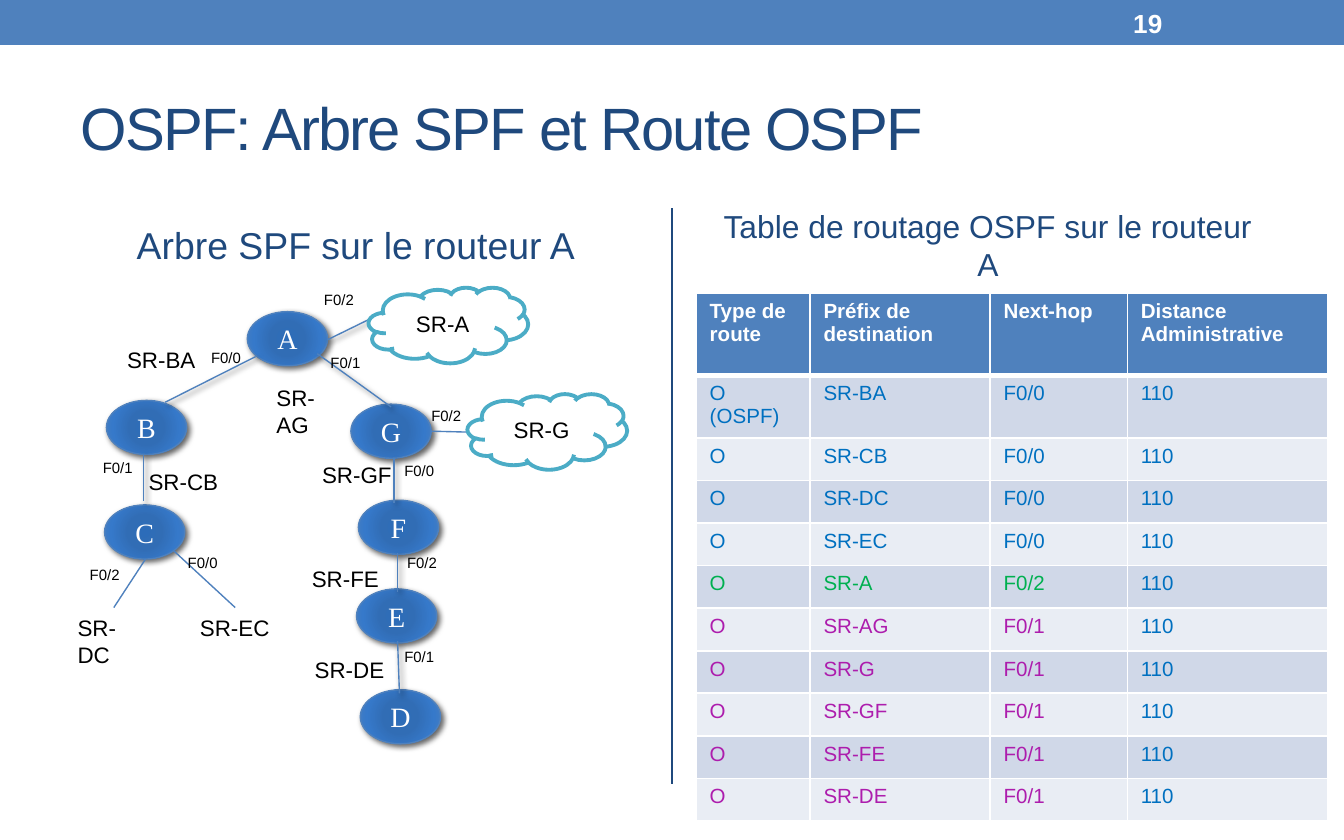
from lxml import etree
from pptx import Presentation
from pptx.dml.color import RGBColor
from pptx.enum.shapes import MSO_CONNECTOR, MSO_SHAPE
from pptx.enum.text import MSO_ANCHOR, MSO_AUTO_SIZE, PP_ALIGN
from pptx.oxml import parse_xml
from pptx.oxml.ns import qn
from pptx.util import Pt

STRAIGHT = MSO_CONNECTOR.STRAIGHT
RECTANGLE, OVAL, CLOUD = MSO_SHAPE.RECTANGLE, MSO_SHAPE.OVAL, MSO_SHAPE.CLOUD
LEFT, CENTER = PP_ALIGN.LEFT, PP_ALIGN.CENTER
TOP, MIDDLE = MSO_ANCHOR.TOP, MSO_ANCHOR.MIDDLE
GROW = MSO_AUTO_SIZE.SHAPE_TO_FIT_TEXT
NAMESPACE = 'xmlns:a="http://schemas.openxmlformats.org/drawingml/2006/main"'

COLORS = {
    "blue": "4F81BD", "navy": "1F497D", "teal": "4BACC6",
    "white": "FFFFFF", "black": "000000",
    "band_dark": "D0D8E8", "band_light": "E9EDF4",
    "text_blue": "0070C0", "text_green": "00B050", "text_purple": "AD1DAD",
}
ROUTER_GRADIENT = [(0, "2C6CB9"), (34, "316DB5"), (70, "3679CA"), (100, "4F81BD")]

ROUTERS = [
    ("A", 132.5, 167), ("C", 56, 270.5), ("B", 57, 214.5), ("G", 188, 216.5),
    ("F", 192, 268), ("E", 191, 315.5), ("D", 193, 369.5),
]
SHADOWED_LINKS = [
    (170, 189.5, 209.5, 218), (137, 191, 88.5, 215.5), (77, 243.5, 77, 268.5),
    (211, 245.5, 211, 269.5), (213, 296.5, 213, 317), (213, 343.5, 214, 371.5),
    (175.5, 182, 200, 170),
]
PLAIN_LINKS = [(78, 299.5, 61, 325.5), (231, 231, 250.5, 231.5), (93, 295, 126, 325.5)]
CLOUDS = [("SR-A", 197.5, 154), ("SR-G", 250.5, 211)]
INTERFACES = [
    ("F0/0", 106, 183.5), ("F0/1", 170, 186), ("F0/0", 209.5, 243.5),
    ("F0/2", 211, 293), ("F0/1", 209.5, 343.5), ("F0/1", 48, 242),
    ("F0/2", 166.5, 152), ("F0/2", 41, 299.5), ("F0/2", 224, 214.5),
    ("F0/0", 93.5, 293),
]
NETWORKS = [
    ("SR-DC", 34.5, 325.5), ("SR-AG", 141, 202.5), ("SR-FE", 160, 299),
    ("SR-GF", 165.5, 243.5), ("SR-DE", 161.5, 348), ("SR-CB", 72.5, 247.5),
    ("SR-BA", 61, 182), ("SR-EC", 100, 325.5),
]
HEADERS = ["Type de route", "Préfix de destination", "Next-hop", "Distance Administrative"]
ROUTES = [
    ("text_blue", "F0/0", ["SR-BA", "SR-CB", "SR-DC", "SR-EC"]),
    ("text_green", "F0/2", ["SR-A"]),
    ("text_purple", "F0/1", ["SR-AG", "SR-G", "SR-GF", "SR-FE", "SR-DE"]),
]
COLUMN_WIDTHS = [61, 96.5, 73.5, 107.5]


def rgb(name):
    """Return the named colour."""
    return RGBColor.from_string(COLORS[name])


def write(frame, text, size=12, color="black", font="Arial", bold=False,
          align=LEFT, anchor=TOP, wrap=True, spacing=None):
    """Put one formatted paragraph into a text frame."""
    frame.word_wrap = wrap
    frame.vertical_anchor = anchor
    para = frame.paragraphs[0]
    para.alignment = align
    span = para.add_run()
    span.text = text
    span.font.size = Pt(size)
    span.font.name = font
    span.font.bold = bold
    span.font.color.rgb = rgb(color)
    if spacing is not None:
        span.font._element.set("spc", str(spacing * 100))


def add_text(page, text, left, top, width, height, grow=False, **style):
    """Add a text box."""
    box = page.shapes.add_textbox(Pt(left), Pt(top), Pt(width), Pt(height))
    write(box.text_frame, text, **style)
    if grow:
        box.text_frame.auto_size = GROW


def add_shape(page, kind, left, top, width, height, fill, line=None, weight=0.75):
    """Add a filled preset shape without a shadow."""
    shape = page.shapes.add_shape(kind, Pt(left), Pt(top), Pt(width), Pt(height))
    shape.fill.solid()
    shape.fill.fore_color.rgb = rgb(fill)
    if line:
        shape.line.color.rgb = rgb(line)
        shape.line.width = Pt(weight)
    else:
        shape.line.fill.background()
    shape.shadow.inherit = False
    return shape


def add_shadow(effects):
    """Fill an effect list with a soft outer shadow."""
    effects.append(parse_xml(
        f'<a:outerShdw {NAMESPACE} blurRad="{Pt(3)}" dist="{Pt(2)}" dir="2700000" '
        f'algn="tl" rotWithShape="0"><a:srgbClr val="{COLORS["black"]}">'
        '<a:alpha val="60000"/></a:srgbClr></a:outerShdw>'))


def add_router(page, name, left, top):
    """Add a router as a shaded ellipse with its letter."""
    router = add_shape(page, OVAL, left, top, 43, 29, "blue", "blue")
    properties = router._element.spPr
    stops = "".join(f'<a:gs pos="{place * 1000}"><a:srgbClr val="{color}"/></a:gs>'
                    for place, color in ROUTER_GRADIENT)
    gradient = parse_xml(
        f'<a:gradFill {NAMESPACE} rotWithShape="1"><a:gsLst>{stops}</a:gsLst>'
        '<a:path path="circle"><a:fillToRect l="100000" t="100000" r="100000" '
        'b="100000"/></a:path></a:gradFill>')
    properties.replace(properties.find(qn("a:solidFill")), gradient)
    add_shadow(properties.find(qn("a:effectLst")))
    write(router.text_frame, name, size=15, color="white", font="Times New Roman",
          align=CENTER, anchor=MIDDLE, wrap=False)


def add_cloud(page, name, left, top):
    """Add a network cloud with its name."""
    cloud = add_shape(page, CLOUD, left, top, 85.5, 40.5, "white", "teal", 2.08)
    write(cloud.text_frame, name, align=CENTER, anchor=MIDDLE)


def add_line(page, ends, color="blue", weight=0.75, shadow=False):
    """Add a straight line between two points."""
    line = page.shapes.add_connector(STRAIGHT, *[Pt(value) for value in ends])
    line.line.color.rgb = rgb(color)
    line.line.width = Pt(weight)
    effects = etree.SubElement(line._element.spPr, qn("a:effectLst"))
    if shadow:
        add_shadow(effects)


def fill_cell(cell, text, fill, color, bold=False, top=1, bottom=1):
    """Set the borders, fill and text of a table cell."""
    properties = cell._tc.get_or_add_tcPr()
    for side, weight in (("L", 1), ("R", 1), ("T", top), ("B", bottom)):
        properties.append(parse_xml(
            f'<a:ln{side} {NAMESPACE} w="{Pt(weight)}"><a:solidFill>'
            f'<a:srgbClr val="{COLORS["white"]}"/></a:solidFill></a:ln{side}>'))
    cell.fill.solid()
    cell.fill.fore_color.rgb = rgb(fill)
    write(cell.text_frame, text, size=11, color=color, bold=bold)


def add_routing_table(page):
    """Add the routing table, coloured by next hop."""
    routes = [(color, hop, prefix) for color, hop, prefixes in ROUTES for prefix in prefixes]
    table = page.shapes.add_table(len(routes) + 1, len(HEADERS), Pt(373), Pt(157),
                                  Pt(sum(COLUMN_WIDTHS)), Pt(283)).table
    for column, width in zip(table.columns, COLUMN_WIDTHS):
        column.width = Pt(width)
    for index, row in enumerate(table.rows):
        row.height = Pt(22.8 if index else 44)
    for column, header in enumerate(HEADERS):
        fill_cell(table.cell(0, column), header, "blue", "white", bold=True, bottom=3)
    for index, (color, hop, prefix) in enumerate(routes, 1):
        band = "band_dark" if index % 2 else "band_light"
        kind = "O (OSPF)" if index == 1 else "O"
        for column, text in enumerate((kind, prefix, hop, "110")):
            ink = "text_blue" if column == 3 else color
            fill_cell(table.cell(index, column), text, band, ink, top=3 if index == 1 else 1)


def add_tree(page):
    """Draw the shortest path tree of router A."""
    for router in ROUTERS:
        add_router(page, *router)
    for ends in SHADOWED_LINKS:
        add_line(page, ends, shadow=True)
    for ends in PLAIN_LINKS:
        add_line(page, ends)
    for cloud in CLOUDS:
        add_cloud(page, *cloud)
    for text, left, top in INTERFACES:
        add_text(page, text, left, top, 31, 17, grow=True, size=8, wrap=False)
    for text, left, top in NETWORKS:
        add_text(page, text, left, top, 52, 21.5, grow=True, wrap=False)


def main():
    """Build and save the slide."""
    deck = Presentation()
    deck.slide_width, deck.slide_height = Pt(720), Pt(450)
    page = deck.slides.add_slide(deck.slide_layouts[6])
    add_shape(page, RECTANGLE, 0, 0, 720, 24, "blue")
    add_line(page, (360, 111.5, 360, 420), "navy", 1.5)
    add_text(page, "OSPF: Arbre SPF et Route OSPF", 36, 35.5, 648, 65,
             size=32, color="navy", anchor=MIDDLE, spacing=-1)
    for text, left, size in (("Arbre SPF sur le routeur A", 36, 20),
                             ("Table de routage OSPF sur le routeur A", 374.5, 17)):
        add_text(page, text, left, 110, 309.5, 42, size=size, color="navy",
                 align=CENTER, anchor=MIDDLE)
    add_routing_table(page)
    add_tree(page)
    add_text(page, "19", 600, 1.5, 84, 21.5, size=14, color="white", bold=True, anchor=MIDDLE)
    deck.save("out.pptx")


if __name__ == "__main__":
    main()
